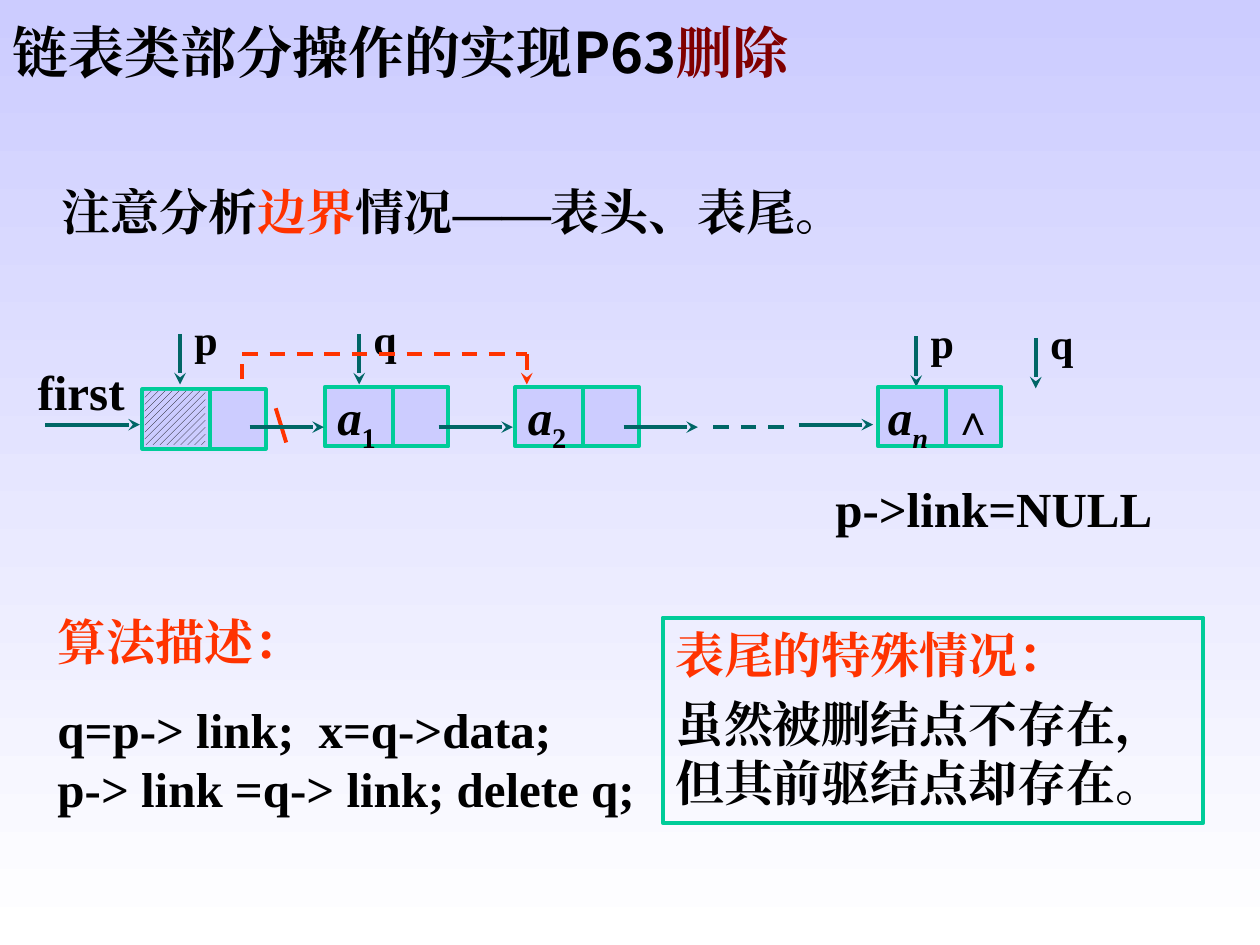
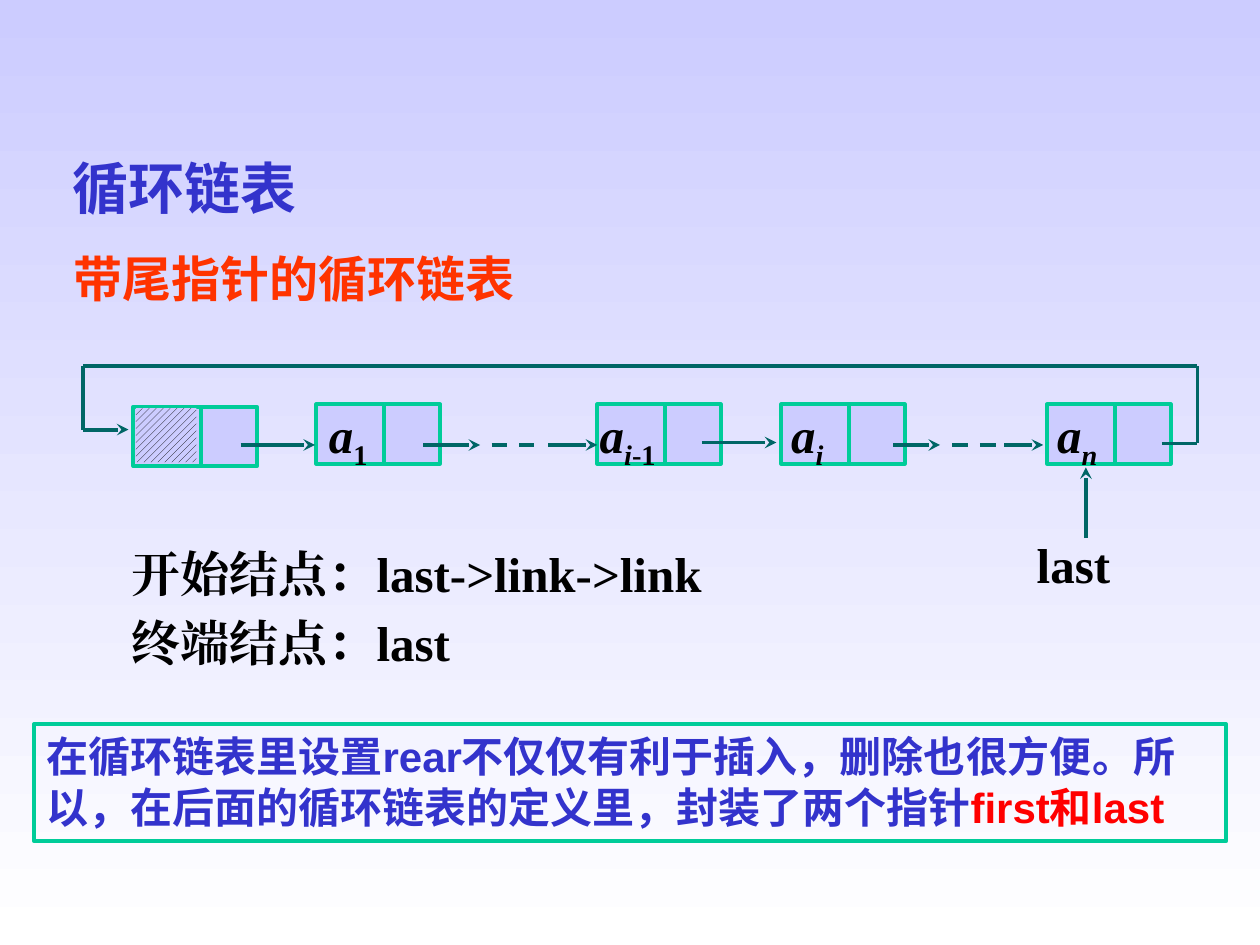
import itertools

import pptx
import pptx.dml.color
import pptx.enum.dml
import pptx.enum.shapes
import pptx.enum.text
import pptx.oxml
import pptx.oxml.ns
import pptx.util

Cm = pptx.util.Cm
SERIF, SANS, CHINESE = "Times New Roman", "Arial", "Noto Sans CJK SC"
BLACK, ORANGE, BLUE, MAROON, RED = "000000", "FF3300", "3333CC", "800000", "FF0000"
LAVENDER, WHITE, GREEN, TEAL = "CCCCFF", "FFFFFF", "00CC99", "006666"
LINE_WIDTH = 2.25
NODE_WIDTH, NODE_HEIGHT, NODE_DIVIDER = 2.49, 1.2, 1.37
HEAD_DROP = 0.05
NAMESPACE = pptx.oxml.ns.nsdecls("a")
TEXT_SHADOW = (
    f'<a:effectLst {NAMESPACE}><a:outerShdw dist="35921" dir="2700000">'
    '<a:srgbClr val="808080"/></a:outerShdw></a:effectLst>'
)


def color(value):
    """Turn a hex string into a colour."""
    return pptx.dml.color.RGBColor.from_string(value)


def format_run(run, size=28, font=SERIF, ink=BLACK, italic=False, subscript=False, shadow=False):
    """Set the character format of one run."""
    run.font.size = pptx.util.Pt(size)
    run.font.bold = True
    run.font.italic = italic
    run.font.color.rgb = color(ink)
    properties = run.font._element
    properties.set("lang", "zh-CN")
    if subscript:
        properties.set("baseline", "-25000")
    if shadow:
        properties.append(pptx.oxml.parse_xml(TEXT_SHADOW))
    run.font.name = font
    east_asian = SERIF if font == CHINESE else font
    properties.append(pptx.oxml.parse_xml(f'<a:ea {NAMESPACE} typeface="{east_asian}"/>'))


def write_text(shape, paragraphs, insets=(0.25, 0.13, 0.25, 0.13), gaps=(), align="LEFT",
               anchor="TOP", **style):
    """Fill a shape with paragraphs of (text, format) runs."""
    frame = shape.text_frame
    frame.word_wrap = True
    frame.vertical_anchor = getattr(pptx.enum.text.MSO_ANCHOR, anchor)
    frame.margin_left, frame.margin_top, frame.margin_right, frame.margin_bottom = map(Cm, insets)
    for index, runs in enumerate(paragraphs):
        paragraph = frame.add_paragraph() if index else frame.paragraphs[0]
        paragraph.alignment = getattr(pptx.enum.text.PP_ALIGN, align)
        paragraph.space_before = pptx.util.Pt(gaps[index - 1] if index and gaps else 0)
        for text, changes in runs:
            run = paragraph.add_run()
            run.text = text
            format_run(run, **{**style, **changes})


def add_text(slide, box, paragraphs, **style):
    """Add a text box."""
    write_text(slide.shapes.add_textbox(*map(Cm, box)), paragraphs, **style)


def add_rectangle(slide, box, fill=None, outline=GREEN):
    """Add a rectangle with an optional plain fill and outline."""
    shape = slide.shapes.add_shape(pptx.enum.shapes.MSO_SHAPE.RECTANGLE, *map(Cm, box))
    shape.shadow.inherit = False
    if fill:
        shape.fill.solid()
        shape.fill.fore_color.rgb = color(fill)
    else:
        shape.fill.background()
    if outline:
        shape.line.color.rgb = color(outline)
        shape.line.width = pptx.util.Pt(LINE_WIDTH)
    else:
        shape.line.fill.background()
    return shape


def add_line(slide, start, end, ink=TEAL, dashed=False, arrow=False):
    """Add a straight line, dashed or with an arrowhead at its end."""
    connector = slide.shapes.add_connector(
        pptx.enum.shapes.MSO_CONNECTOR.STRAIGHT, *map(Cm, start + end))
    connector.line.color.rgb = color(ink)
    connector.line.width = pptx.util.Pt(LINE_WIDTH)
    if dashed:
        connector.line.dash_style = pptx.enum.dml.MSO_LINE.DASH
    if arrow:
        connector.line._get_or_add_ln().append(
            pptx.oxml.parse_xml(f'<a:tailEnd {NAMESPACE} type="stealth"/>'))
    connector._element.spPr.append(pptx.oxml.parse_xml(f"<a:effectLst {NAMESPACE}/>"))


def add_route(slide, points, **style):
    """Join points by straight lines and end in an arrowhead."""
    legs = list(itertools.pairwise(points))
    for leg in legs:
        add_line(slide, *leg, arrow=leg is legs[-1], **style)


def add_node(slide, left, top, subscript=(), inset=0.2):
    """Draw a two-field list node, labelled a with a subscript if one is given."""
    shape = add_rectangle(slide, (left, top, NODE_WIDTH, NODE_HEIGHT), LAVENDER)
    if subscript:
        runs = [("a", {"italic": True})]
        runs += [(text, {"subscript": True, "italic": text.isalpha()}) for text in subscript]
        write_text(shape, [runs], insets=(inset, 0, 0, 0.2))
    divider = left + NODE_DIVIDER
    add_line(slide, (divider, top), (divider, top + NODE_HEIGHT), ink=GREEN)


def add_chain(slide, left, top, nodes, links):
    """Draw the hatched head node, the data nodes and the links between them."""
    for offset, subscript, inset in nodes:
        add_node(slide, left + offset, top, subscript, inset)
    add_node(slide, left, top + HEAD_DROP)
    hatch = add_rectangle(slide, (left + 0.05, top + HEAD_DROP + 0.03, 1.22, 1.09), outline=None)
    hatch.fill.patterned()
    hatch.fill.pattern = pptx.enum.dml.MSO_PATTERN.WIDE_UPWARD_DIAGONAL
    hatch.fill.fore_color.rgb = color(BLACK)
    hatch.fill.back_color.rgb = color(LAVENDER)
    for start, end, height, dashed in links:
        add_line(slide, (left + start, top + height), (left + end, top + height),
                 dashed=dashed, arrow=not dashed)


def add_pointer(slide, left, top, name):
    """Draw a named pointer arrow that points down."""
    add_line(slide, (left, top), (left, top + 1.02), arrow=True)
    add_text(slide, (left + 0.29, top - 0.4, 0.69, 1.02), [[(name, {})]],
             insets=(0, 0, 0, 0), size=24)


def add_label(slide, left, top, name):
    """Write the name of a list pointer."""
    add_text(slide, (left, top, 2.11, 1.3), [[(name, {})]], insets=(0, 0, 0, 0.1))


def add_bypass(slide, left, top):
    """Draw the dashed link around the deleted node and the cut in the old link."""
    route = [(left, top + 1.06), (left, top), (left + 5.74, top), (left + 5.74, top + 0.61)]
    add_route(slide, route, ink=ORANGE, dashed=True)
    add_line(slide, (left + 0.89, top + 1.78), (left + 0.68, top + 1.09), ink=ORANGE)


def add_return_loop(slide, left, top):
    """Draw the link from the tail node back to the head node."""
    route = [(20.73, 0.79), (21.45, 0.79), (21.45, -0.78), (-1.01, -0.78),
             (-1.01, 0.51), (-0.1, 0.51)]
    add_route(slide, [(left + x, top + y) for x, y in route])


def add_slide(presentation):
    """Add a blank slide with the shared gradient background."""
    slide = presentation.slides.add_slide(presentation.slide_layouts[6])
    fill = slide.background.fill
    fill.gradient()
    fill.gradient_angle = 270
    for stop, value in zip(fill.gradient_stops, (LAVENDER, WHITE)):
        stop.color.rgb = color(value)
    return slide


def build_deletion_slide(presentation):
    """Build the slide on deleting a node."""
    slide = add_slide(presentation)
    add_text(slide, (0.91, 12.19, 14.15, 4.42), [
        [("算法描述：", {"ink": ORANGE})],
        [("q=p-> link;  x=q->data;", {})],
        [("p-> link =q-> link; delete q;", {})],
    ], gaps=(17, 0), align="JUSTIFY")
    add_text(slide, (0.99, 3.53, 22.43, 1.45), [
        [("注意分析", {}), ("边界", {"ink": ORANGE}), ("情况——表头、表尾。", {})]])
    for left, top, name in ((3.63, 6.73, "p"), (7.24, 6.73, "q"),
                            (18.47, 6.78, "p"), (20.88, 6.81, "q")):
        add_pointer(slide, left, top, name)
    write_text(add_rectangle(slide, (13.36, 12.45, 10.9, 4.14)), [
        [("表尾的特殊情况：", {"ink": ORANGE})],
        [("虽然被删结点不存在，但其前驱结点却存在。", {})],
    ], gaps=(6,), font=CHINESE)
    add_text(slide, (16.59, 9.52, 7.34, 1.45), [[("p->link=NULL", {})]])
    add_bypass(slide, 4.88, 7.14)
    left, top = 2.87, 7.8
    add_chain(slide, left, top, [
        (3.68, ["1"], 0.25), (7.52, ["2"], 0.25), (14.83, ["n"], 0.2),
    ], [
        (-1.96, -0.05, 0.76, False), (2.16, 3.66, 0.81, False), (5.97, 7.47, 0.81, False),
        (9.7, 11.2, 0.81, False), (11.51, 13.01, 0.81, True), (13.23, 14.73, 0.76, False),
    ])
    add_label(slide, left - 2.11, top - 0.51, "first")
    add_text(slide, (left + 16.08, top, 1.24, 1.27), [[("∧", {})]], size=24, align="CENTER")
    add_text(slide, (0, 0.23, 25.4, 1.6), [
        [("链表类部分操作的实现P63", {}), ("删除", {"ink": MAROON})],
    ], size=32, font=CHINESE, anchor="MIDDLE")


def build_circular_slide(presentation):
    """Build the slide on the circular list with a tail pointer."""
    slide = add_slide(presentation)
    left, top = 2.69, 8.15
    add_line(slide, (left + 19.2, top + 2.7), (left + 19.2, top + 1.27), arrow=True)
    add_label(slide, left + 18.21, top + 2.62, "last")
    add_chain(slide, left, top, [
        (3.69, ["1"], 0.25), (9.35, ["i", "-1"], 0.05), (13.06, ["i"], 0.2), (18.42, ["n"], 0.2),
    ], [
        (2.16, 3.66, 0.82, False), (5.84, 6.99, 0.82, False), (7.22, 8.08, 0.82, True),
        (8.36, 9.35, 0.82, False), (11.46, 12.96, 0.77, False), (15.32, 16.26, 0.82, False),
        (16.51, 17.4, 0.82, True), (17.55, 18.34, 0.82, False),
    ])
    add_return_loop(slide, left, top)
    add_text(slide, (2.41, 10.82, 14.78, 3.23), [
        [("开始结点：last->link->link", {})],
        [("终端结点：last", {})],
    ], gaps=(6,), shadow=True)
    add_text(slide, (1.22, 2.97, 12.5, 1.6), [[("循环链表", {})]],
             size=32, font=SANS, ink=BLUE, shadow=True)
    add_text(slide, (1.24, 4.88, 10.44, 1.45), [[("带尾指针的循环链表", {})]],
             font=SANS, ink=ORANGE)
    write_text(add_rectangle(slide, (0.69, 14.6, 24.03, 2.36)), [[
        ("在循环链表里设置rear不仅仅有利于插入，删除也很方便。"
         "所以，在后面的循环链表的定义里，封装了两个指针", {}),
        ("first和last", {"ink": RED}),
    ]], size=24, font=SANS, ink=BLUE)


def main():
    """Build and save the presentation."""
    presentation = pptx.Presentation()
    presentation.slide_width, presentation.slide_height = Cm(25.4), Cm(19.05)
    build_deletion_slide(presentation)
    build_circular_slide(presentation)
    presentation.save("out.pptx")


if __name__ == "__main__":
    main()
